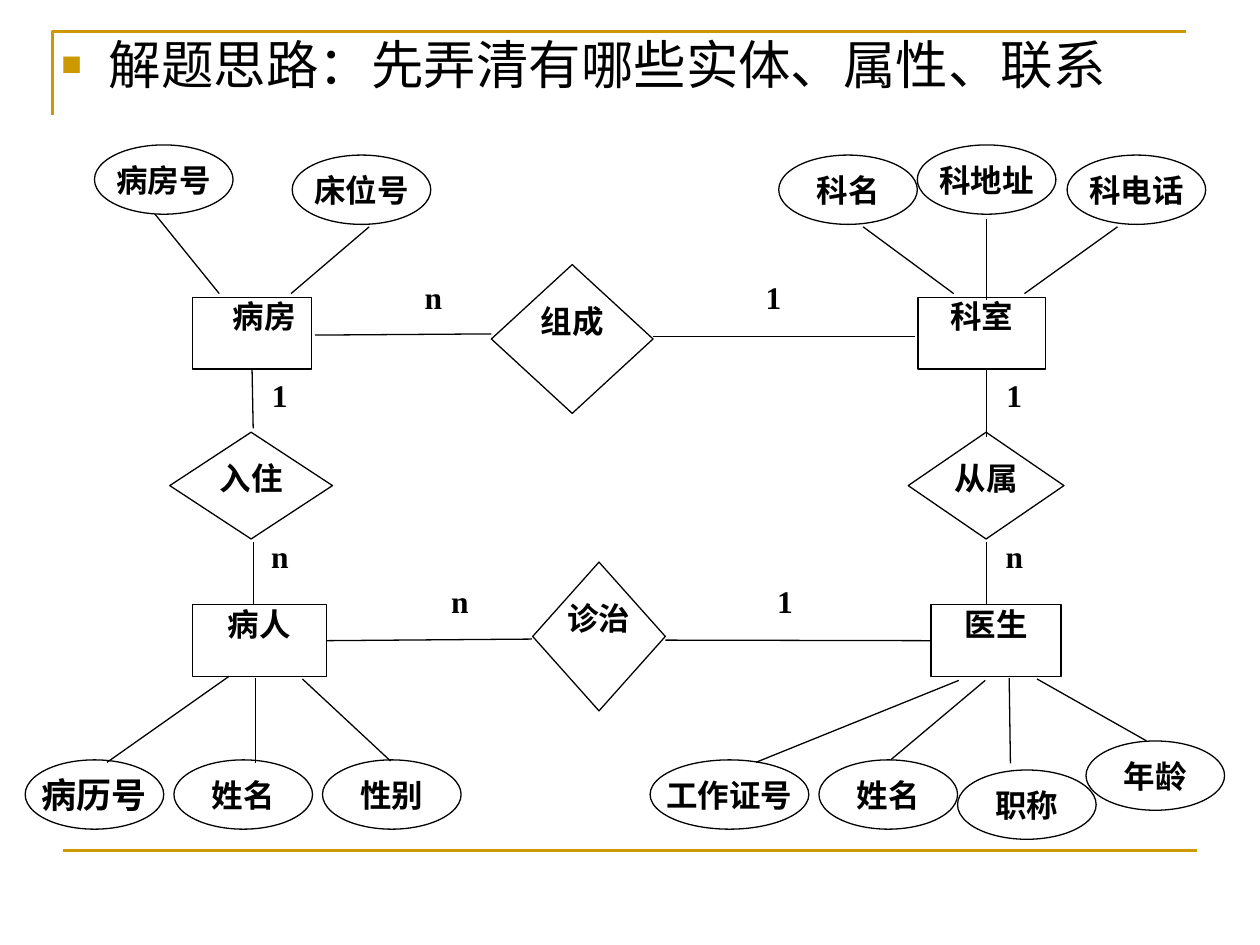
import pptx
import pptx.dml.color
import pptx.enum.shapes
import pptx.enum.text
import pptx.oxml.ns
import pptx.util
from lxml import etree

Pt = pptx.util.Pt
SHAPES = pptx.enum.shapes.MSO_SHAPE
ANCHOR = pptx.enum.text.MSO_ANCHOR
COLORS = {"ink": "000000", "paper": "FFFFFF", "gold": "CC9900"}
TOP, LEFT, BOTTOM, RIGHT = range(4)


def color(name):
    return pptx.dml.color.RGBColor.from_string(COLORS[name])


class Diagram:
    """Holds the entity-relationship style and the slide being drawn."""

    serif, sans = "Times New Roman", "Arial"
    text_size, thin, thick = 18, 0.75, 1.5
    entity_height = 41
    oval_width, oval_height = 79.2, 39.6
    label_width, label_height = 26, 32

    def __init__(self, slide):
        self.slide = slide

    def set_text(self, shape, text, font, size=text_size, bold=True, inset=0):
        frame = shape.text_frame
        frame.margin_left = Pt(inset)
        frame.margin_right = frame.margin_top = frame.margin_bottom = 0
        frame.word_wrap = True
        frame.vertical_anchor = ANCHOR.TOP
        para = frame.paragraphs[0]
        para.text = text
        para.alignment = pptx.enum.text.PP_ALIGN.CENTER
        para.font.name, para.font.size, para.font.bold = font, Pt(size), bold
        para.font.color.rgb = color("ink")
        return para

    def outlined(self, kind, left, top, width, height, filled=True):
        shape = self.slide.shapes.add_shape(kind, Pt(left), Pt(top), Pt(width), Pt(height))
        shape.shadow.inherit = False
        if filled:
            shape.fill.solid()
            shape.fill.fore_color.rgb = color("paper")
        else:
            shape.fill.background()
        shape.line.color.rgb = color("ink")
        shape.line.width = Pt(self.thin)
        return shape

    def entity(self, text, left, top, width, inset=0):
        shape = self.outlined(SHAPES.RECTANGLE, left, top, width, self.entity_height)
        self.set_text(shape, text, self.serif, inset=inset)
        return shape

    def relation(self, text, left, top, width, height):
        shape = self.outlined(SHAPES.FLOWCHART_DECISION, left, top, width, height)
        self.set_text(shape, text, self.serif)

    def attribute(self, text, left, top, width=oval_width, size=text_size):
        shape = self.outlined(SHAPES.OVAL, left, top, width, self.oval_height, filled=False)
        self.set_text(shape, text, self.sans, size)
        shape.text_frame.word_wrap = False
        shape.text_frame.vertical_anchor = ANCHOR.MIDDLE

    def cardinality(self, text, left, top):
        box = self.slide.shapes.add_textbox(
            Pt(left), Pt(top), Pt(self.label_width), Pt(self.label_height))
        self.set_text(box, text, self.serif)

    def line(self, x1, y1, x2, y2, hue="ink", width=thin):
        connector = self.slide.shapes.add_connector(
            pptx.enum.shapes.MSO_CONNECTOR.STRAIGHT, Pt(x1), Pt(y1), Pt(x2), Pt(y2))
        connector.line.color.rgb = color(hue)
        connector.line.width = Pt(width)
        etree.SubElement(connector._element.spPr, pptx.oxml.ns.qn("a:effectLst"))
        return connector

    def corner_rule(self, left, top, right, bottom):
        builder = self.slide.shapes.build_freeform(Pt(left), Pt(bottom))
        builder.add_line_segments([(Pt(left), Pt(top)), (Pt(right), Pt(top))], close=False)
        rule = builder.convert_to_shape()
        rule.shadow.inherit = False
        rule.fill.background()
        rule.line.color.rgb = color("gold")
        rule.line.width = Pt(self.thick)

    def heading(self, text, left, top, width, height):
        box = self.slide.shapes.add_textbox(Pt(left), Pt(top), Pt(width), Pt(height))
        para = self.set_text(box, text, self.sans, size=30, bold=False, inset=7.2)
        box.text_frame.margin_top = Pt(3.6)
        para.alignment = pptx.enum.text.PP_ALIGN.LEFT
        para.space_before = Pt(6)
        properties = para._p.get_or_add_pPr()
        properties.set("marL", str(Pt(27)))
        properties.set("indent", str(-Pt(27)))
        qn = pptx.oxml.ns.qn
        bullet_color = etree.Element(qn("a:buClr"))
        etree.SubElement(bullet_color, qn("a:srgbClr"), val=COLORS["gold"])
        bullet = [bullet_color,
                  etree.Element(qn("a:buSzPct"), val="65000"),
                  etree.Element(qn("a:buFont"), typeface=self.sans),
                  etree.Element(qn("a:buChar"), char="■")]
        place = list(properties).index(properties.find(qn("a:defRPr")))
        properties[place:place] = bullet


def main():
    deck = pptx.Presentation()
    deck.slide_width, deck.slide_height = Pt(720), Pt(540)
    diagram = Diagram(deck.slides.add_slide(deck.slide_layouts[6]))

    diagram.corner_rule(30, 18, 678, 66)
    diagram.line(36, 486, 684, 486, "gold", diagram.thick)
    diagram.heading("解题思路：先弄清有哪些实体、属性、联系", 28, 15, 638, 40)

    upper, lower = 170, 345.6
    ward = diagram.entity("病房", 110.2, upper, 67.7, inset=14)
    diagram.entity("科室", 524.6, upper, 73)
    patient = diagram.entity("病人", 110, lower, 76.5)
    doctor = diagram.entity("医生", 532, lower, 74.3)

    for relation in [("入住", 97, 247, 93, 61), ("从属", 519, 247, 89, 61),
                     ("组成", 280.8, 151.2, 92.4, 85), ("诊治", 304.4, 321.2, 75.8, 85)]:
        diagram.relation(*relation)

    high, low, bottom = 82.8, 88.6, 434.2
    for attribute in [
        ("病房号", 54, high), ("床位号", 167, low),
        ("科名", 445, low), ("科地址", 524.2, high), ("科电话", 609.8, low),
        ("病历号", 14.4, bottom, diagram.oval_width, 20),
        ("姓名", 99.4, bottom), ("性别", 184.3, bottom),
        ("工作证号", 371.5, bottom, 90.7), ("姓名", 468, bottom),
        ("职称", 547.2, 440), ("年龄", 620.6, 423.4),
    ]:
        diagram.attribute(*attribute)

    for x in (146.9, 566.6):
        diagram.cardinality("1", x, 214.6)
        diagram.cardinality("n", x, 306.7)
    for many_x, one_x, y in [(234.7, 429, 159), (249.8, 435.6, 332.6)]:
        diagram.cardinality("n", many_x, y)
        diagram.cardinality("1", one_x, y)

    attribute_lines = [
        (88.6, 122.4, 125.3, 167.8), (211, 129.6, 166.3, 167.8),
        (493.2, 129.6, 545, 167.8), (563.8, 125.3, 563.8, 171.4),
        (638.6, 129.6, 585.4, 167.8),
        (131, 386.4, 61.2, 435.6), (146.2, 387.4, 146.2, 436.3),
        (172.8, 388, 223.2, 434.9),
        (547.9, 388.8, 432, 435.6), (563, 388.8, 509, 434.2),
        (576.7, 387.4, 577.4, 436.3), (592.6, 388, 655.2, 423.4),
    ]
    relation_lines = [
        (144.7, 309.6, 144.7, 345), (563.8, 211, 563.8, 249.8),
        (563.8, 309.6, 563.8, 345),
        (180, 191.5, 280.8, 190.8), (373, 192.2, 522.7, 192.2),
    ]
    for ends in attribute_lines + relation_lines:
        diagram.line(*ends)
    diagram.line(144.7, 211, 144.7, 244.8).begin_connect(ward, BOTTOM)
    diagram.line(186.5, 366, 304, 365.2).begin_connect(patient, RIGHT)
    diagram.line(380.2, 365.8, 532, 366).end_connect(doctor, LEFT)

    deck.save("out.pptx")


if __name__ == "__main__":
    main()
